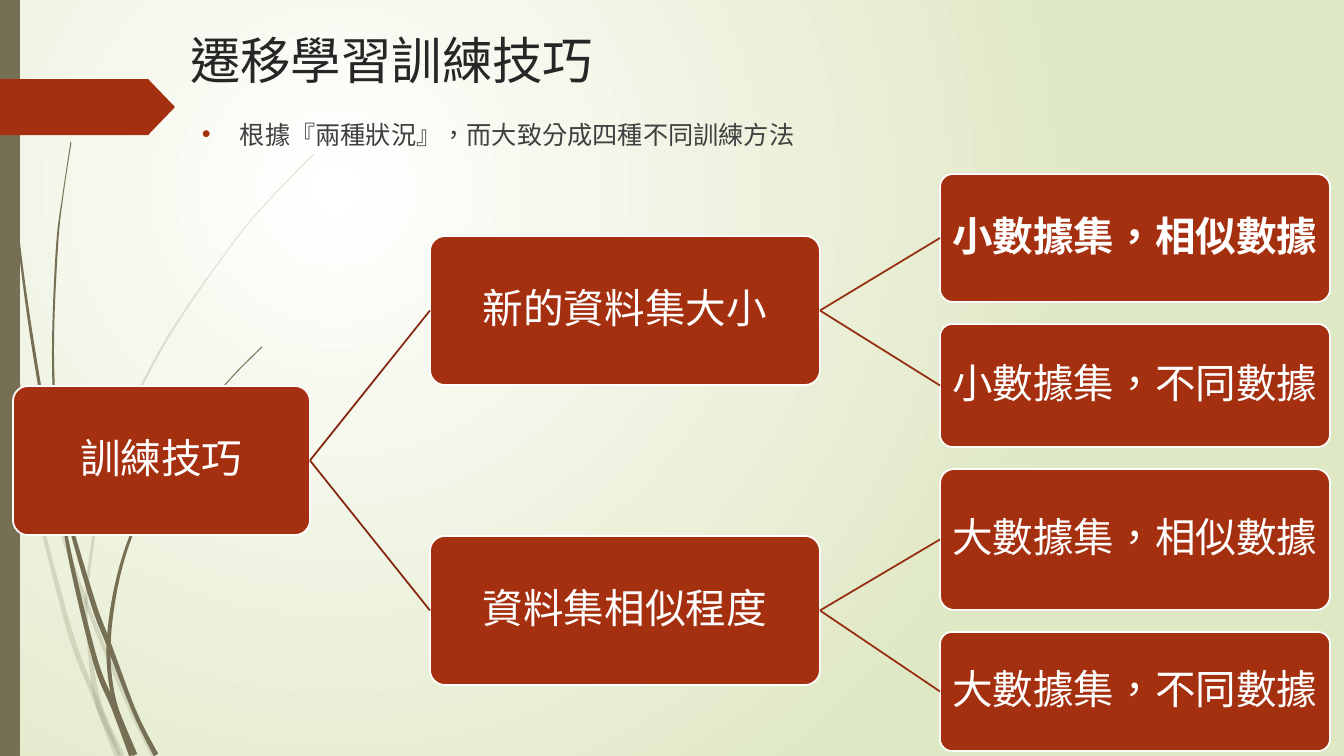
from dataclasses import dataclass
from math import hypot
from typing import NamedTuple

from pptx import Presentation
from pptx.dml.color import RGBColor
from pptx.enum.shapes import MSO_CONNECTOR, MSO_SHAPE as SHAPE
from pptx.enum.text import MSO_ANCHOR as ANCHOR, PP_ALIGN as ALIGN
from pptx.oxml.ns import qn
from pptx.oxml.xmlchemy import OxmlElement
from pptx.util import Emu, Pt

PIXEL = 914400 / 100.8
FONT = "TeX Gyre Adventor"
RUST = RGBColor(0xA5, 0x30, 0x10)
ROOT_LINE = RGBColor(0x84, 0x26, 0x0D)
BRANCH_LINE = RGBColor(0x96, 0x2C, 0x0F)
OLIVE = RGBColor(0x76, 0x6F, 0x54)
PALE_GREEN = RGBColor(0xDF, 0xE8, 0xC4)
WHITE = RGBColor(0xFF, 0xFF, 0xFF)
TITLE_INK = RGBColor(0x26, 0x26, 0x26)
BODY_INK = RGBColor(0x40, 0x40, 0x40)


class Node(NamedTuple):
    """A point on a grass blade's centre line, with the blade's width there."""
    x: int
    y: int
    width: int


@dataclass
class Blade:
    """One grass blade; opacity is in percent."""
    opacity: int
    nodes: list[tuple[int, int, int]]


@dataclass
class Box:
    """A rounded box of the tree."""
    text: str
    left: int
    top: int
    width: int
    height: int
    bold: bool = False


BLADES = [
    Blade(20, [(1, 290, 3), (15, 370, 4), (60, 525, 4), (87, 605, 4),
               (126, 699, 4), (154, 756, 5)]),
    Blade(20, [(14, 366, 3), (30, 473, 3), (68, 625, 5), (95, 698, 5),
               (118, 756, 6)]),
    Blade(20, [(314, 154, 1), (270, 199, 1), (230, 247, 1), (160, 351, 2),
               (109, 465, 3), (87, 589, 3), (90, 651, 4), (99, 705, 6),
               (122, 756, 5)]),
    Blade(100, [(4, 0, 1), (8, 110, 1), (18, 234, 2), (35, 358, 3),
                (57, 474, 3), (91, 596, 5), (109, 645, 5), (135, 713, 4),
                (156, 755, 5)]),
    Blade(100, [(57, 481, 1), (71, 561, 4), (96, 663, 5), (115, 709, 6),
                (133, 755, 8)]),
    Blade(100, [(71, 142, 1), (63, 195, 1), (57, 247, 2), (53, 352, 2),
                (57, 457, 3), (60, 476, 1)]),
    Blade(100, [(262, 347, 1), (233, 376, 1), (206, 409, 1), (158, 479, 2),
                (124, 556, 3), (109, 637, 4), (114, 700, 4), (135, 755, 5)]),
]
ROOT = Box("訓練技巧", 13, 386, 297, 149)
BRANCHES = [Box("新的資料集大小", 430, 236, 390, 149),
            Box("資料集相似程度", 430, 536, 390, 149)]
LEAVES = [("小數據集，相似數據", 128), ("小數據集，不同數據", 123),
          ("大數據集，相似數據", 141), ("大數據集，不同數據", 119)]
LEAF_LEFT, LEAF_TOP, LEAF_WIDTH, LEAF_GAP = 940, 174, 390, 22


def px(length: float) -> Emu:
    """Turn pixels into EMU."""
    return Emu(round(length * PIXEL))


def add_child(parent, tag: str, **attributes: str):
    """Append an XML element with attributes."""
    child = OxmlElement(tag)
    for name, value in attributes.items():
        child.set(name, value)
    parent.append(child)
    return child


def add_run(paragraph, text: str, size: int, color: RGBColor,
            bold: bool = False) -> None:
    """Add one formatted run of Traditional Chinese."""
    run = paragraph.add_run()
    run.text = text
    run.font.name, run.font.size, run.font.bold = FONT, Pt(size), bold
    run.font.color.rgb = color
    run._r.get_or_add_rPr().set("lang", "zh-TW")


def paint(shape, color: RGBColor) -> None:
    """Give a shape a flat fill without line or shadow."""
    shape.shadow.inherit = False
    shape.fill.solid()
    shape.fill.fore_color.rgb = color
    shape.line.fill.background()


def paint_background(slide) -> None:
    """Fill the background with a radial glow from the upper left."""
    fill = slide.background.fill
    fill.gradient()
    for stop, color in zip(fill.gradient_stops, (WHITE, PALE_GREEN)):
        stop.color.rgb = color
    linear = next(slide._element.iter(qn("a:lin")))
    gradient = linear.getparent()
    gradient.remove(linear)
    circle = add_child(gradient, "a:path", path="circle")
    add_child(circle, "a:fillToRect", l="50000", t="50000",
              r="100000", b="100000")


def smooth(nodes: list[Node], steps: int = 8) -> list[Node]:
    """Sample a Catmull-Rom curve through the nodes."""
    padded = [nodes[0], *nodes, nodes[-1]]
    curve = []
    for a, b, c, d in zip(padded, padded[1:], padded[2:], padded[3:]):
        for step in range(steps):
            t = step / steps
            curve.append(Node(*(
                q + t * (r - p) / 2 + t * t * (p - 2.5 * q + 2 * r - s / 2)
                + t ** 3 * (3 * (q - r) + s - p) / 2
                for p, q, r, s in zip(a, b, c, d))))
    return [*curve, nodes[-1]]


def add_blade(slide, blade: Blade) -> None:
    """Draw a tapering grass blade around its centre line."""
    curve = smooth([Node(*node) for node in blade.nodes])
    left_edge, right_edge = [], []
    for before, node, after in zip(curve[:1] + curve, curve,
                                   curve[1:] + curve[-1:]):
        dx, dy = after.x - before.x, after.y - before.y
        half = node.width / 2 / hypot(dx, dy)
        left_edge.append((px(node.x - dy * half), px(node.y + dx * half)))
        right_edge.append((px(node.x + dy * half), px(node.y - dx * half)))
    outline = left_edge + right_edge[::-1]
    builder = slide.shapes.build_freeform(*outline[0], scale=1.0)
    builder.add_line_segments(outline[1:], close=True)
    shape = builder.convert_to_shape()
    paint(shape, OLIVE)
    color = next(shape._element.spPr.iter(qn("a:srgbClr")))
    add_child(color, "a:alpha", val=str(blade.opacity * 1000))


def add_side_decoration(slide) -> None:
    """Draw the grass, the left bar and the arrow tab."""
    for blade in BLADES:
        add_blade(slide, blade)
    bar = slide.shapes.add_shape(SHAPE.RECTANGLE, 0, 0, px(20), px(756))
    paint(bar, OLIVE)
    tab = slide.shapes.add_shape(SHAPE.PENTAGON, 0, px(79), px(175), px(56))
    tab.adjustments[0] = 0.48
    paint(tab, RUST)


def add_heading(slide) -> None:
    """Fill the title and add the bullet below it."""
    title = slide.shapes.title
    title.left, title.top, title.width, title.height = map(
        px, (180, 20, 983, 78))
    title.text_frame.vertical_anchor = ANCHOR.MIDDLE
    paragraph = title.text_frame.paragraphs[0]
    paragraph.alignment = ALIGN.LEFT
    add_run(paragraph, "遷移學習訓練技巧", 36, TITLE_INK)

    body = slide.shapes.add_textbox(*map(px, (192, 114, 983, 50)))
    body.text_frame.word_wrap = True
    paragraph = body.text_frame.paragraphs[0]
    paragraph.space_before = Pt(10)
    properties = paragraph._p.get_or_add_pPr()
    properties.set("marL", str(px(38)))
    properties.set("indent", str(px(-38)))
    bullet_color = add_child(properties, "a:buClr")
    add_child(bullet_color, "a:srgbClr", val=str(RUST))
    add_child(properties, "a:buFont", typeface="Arial")
    add_child(properties, "a:buChar", char="•")
    add_run(paragraph, "根據『兩種狀況』，而大致分成四種不同訓練方法", 18, BODY_INK)


def add_box(slide, box: Box):
    """Draw one box of the tree with its label."""
    shape = slide.shapes.add_shape(
        SHAPE.ROUNDED_RECTANGLE,
        *map(px, (box.left, box.top, box.width, box.height)))
    shape.adjustments[0] = 0.1
    paint(shape, RUST)
    shape.line.color.rgb, shape.line.width = WHITE, Pt(1.25)
    frame = shape.text_frame
    frame.word_wrap, frame.vertical_anchor = True, ANCHOR.MIDDLE
    frame.margin_left = frame.margin_right = px(2)
    frame.margin_top = frame.margin_bottom = px(2)
    paragraph = frame.paragraphs[0]
    paragraph.alignment, paragraph.line_spacing = ALIGN.CENTER, 0.9
    add_run(paragraph, box.text, 29, WHITE, box.bold)
    return shape


def link(slide, parent, child, color: RGBColor) -> None:
    """Join a parent's right side to a child's left side."""
    connector = slide.shapes.add_connector(MSO_CONNECTOR.STRAIGHT, 0, 0, 0, 0)
    connector.begin_connect(parent, 3)
    connector.end_connect(child, 1)
    connector.line.color.rgb, connector.line.width = color, Pt(1.25)
    add_child(connector._element.spPr, "a:effectLst")


def add_tree(slide) -> None:
    """Draw the root, its two branches and their four leaves."""
    root = add_box(slide, ROOT)
    branches = [add_box(slide, branch) for branch in BRANCHES]
    for branch in branches:
        link(slide, root, branch, ROOT_LINE)
    top = LEAF_TOP
    for index, (text, height) in enumerate(LEAVES):
        leaf = add_box(slide, Box(text, LEAF_LEFT, top, LEAF_WIDTH, height,
                                  bold=index == 0))
        link(slide, branches[index // 2], leaf, BRANCH_LINE)
        top += height + LEAF_GAP


presentation = Presentation()
presentation.slide_width, presentation.slide_height = px(1344), px(756)
slide = presentation.slides.add_slide(presentation.slide_layouts[5])
paint_background(slide)
add_side_decoration(slide)
add_heading(slide)
add_tree(slide)
presentation.save("out.pptx")
